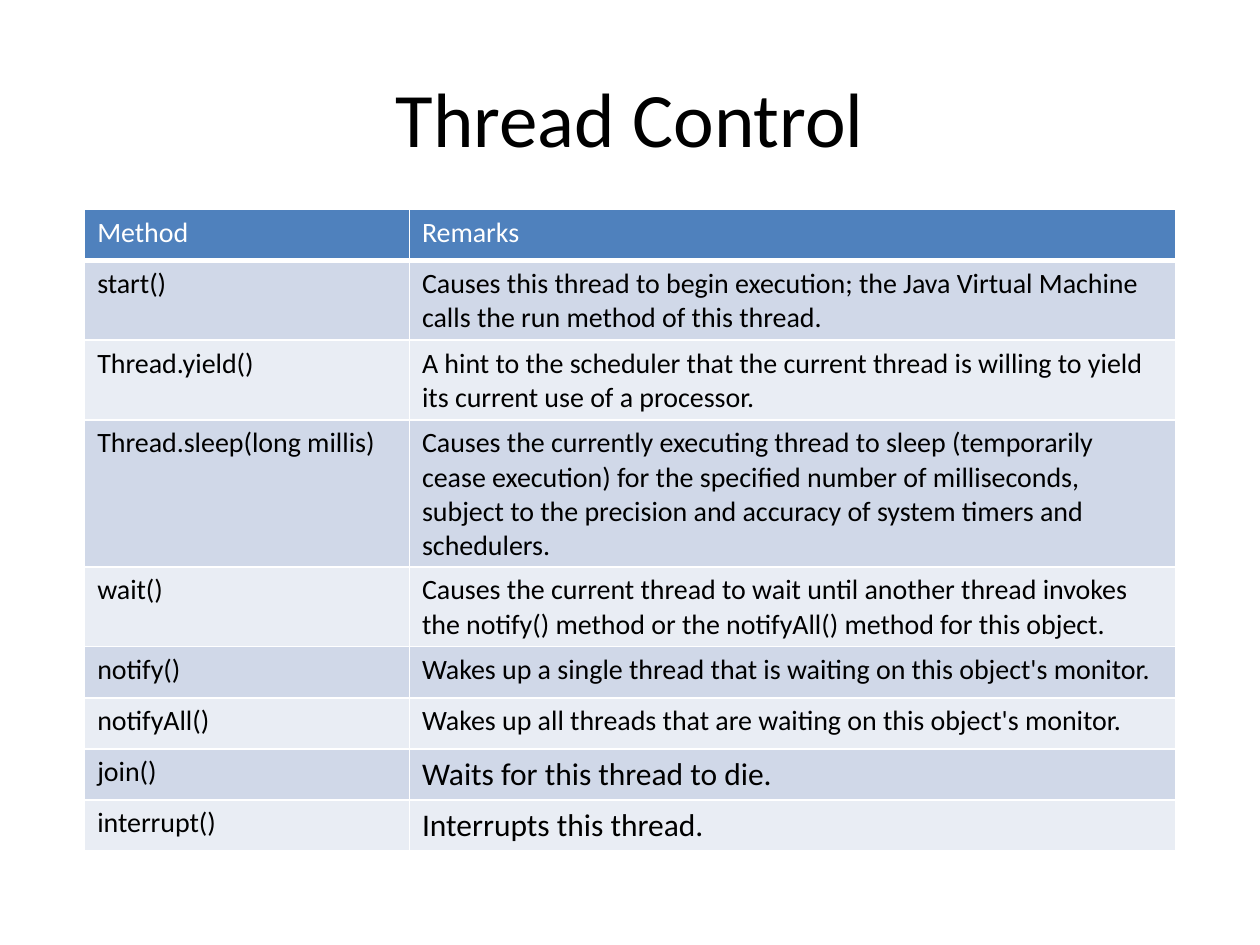
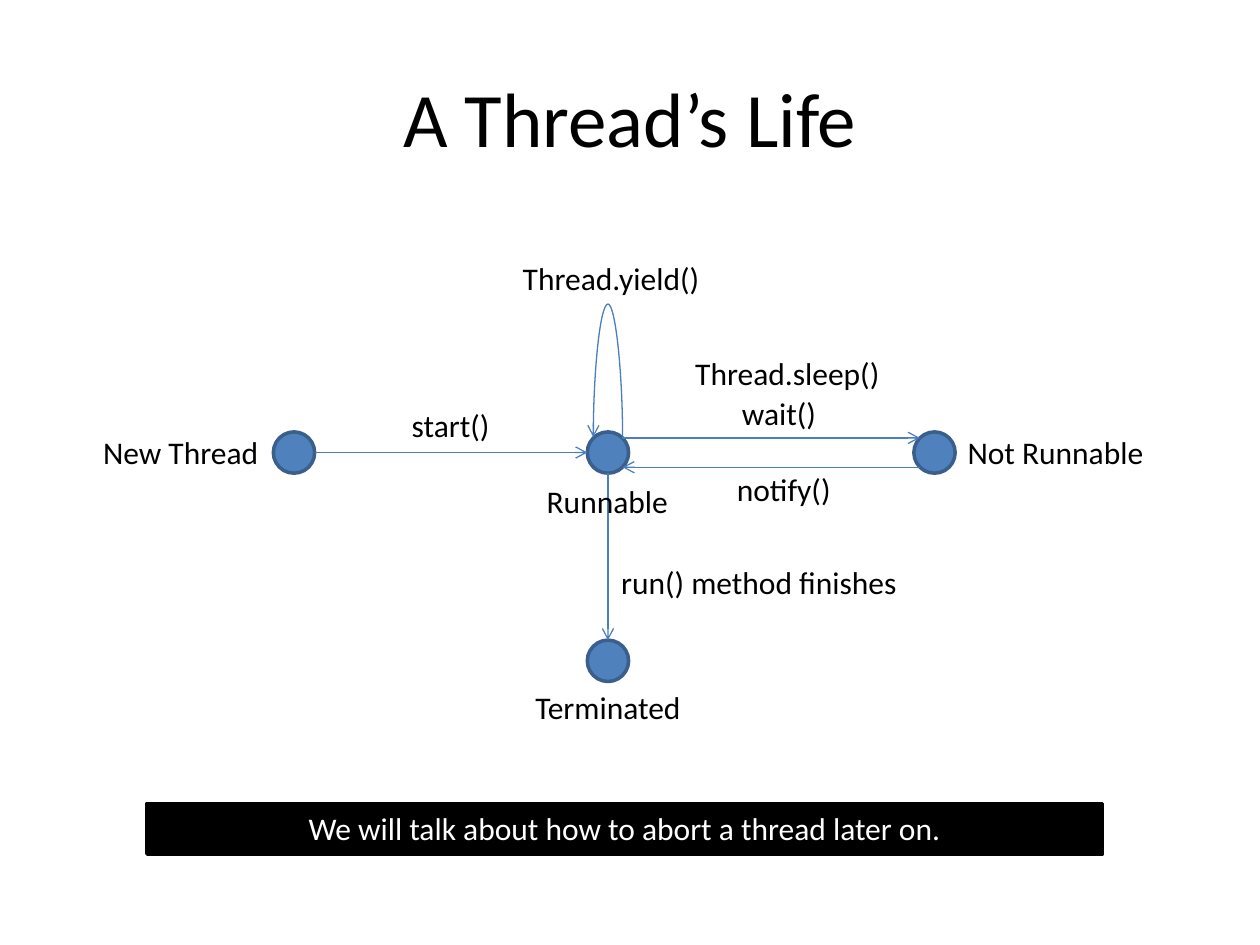
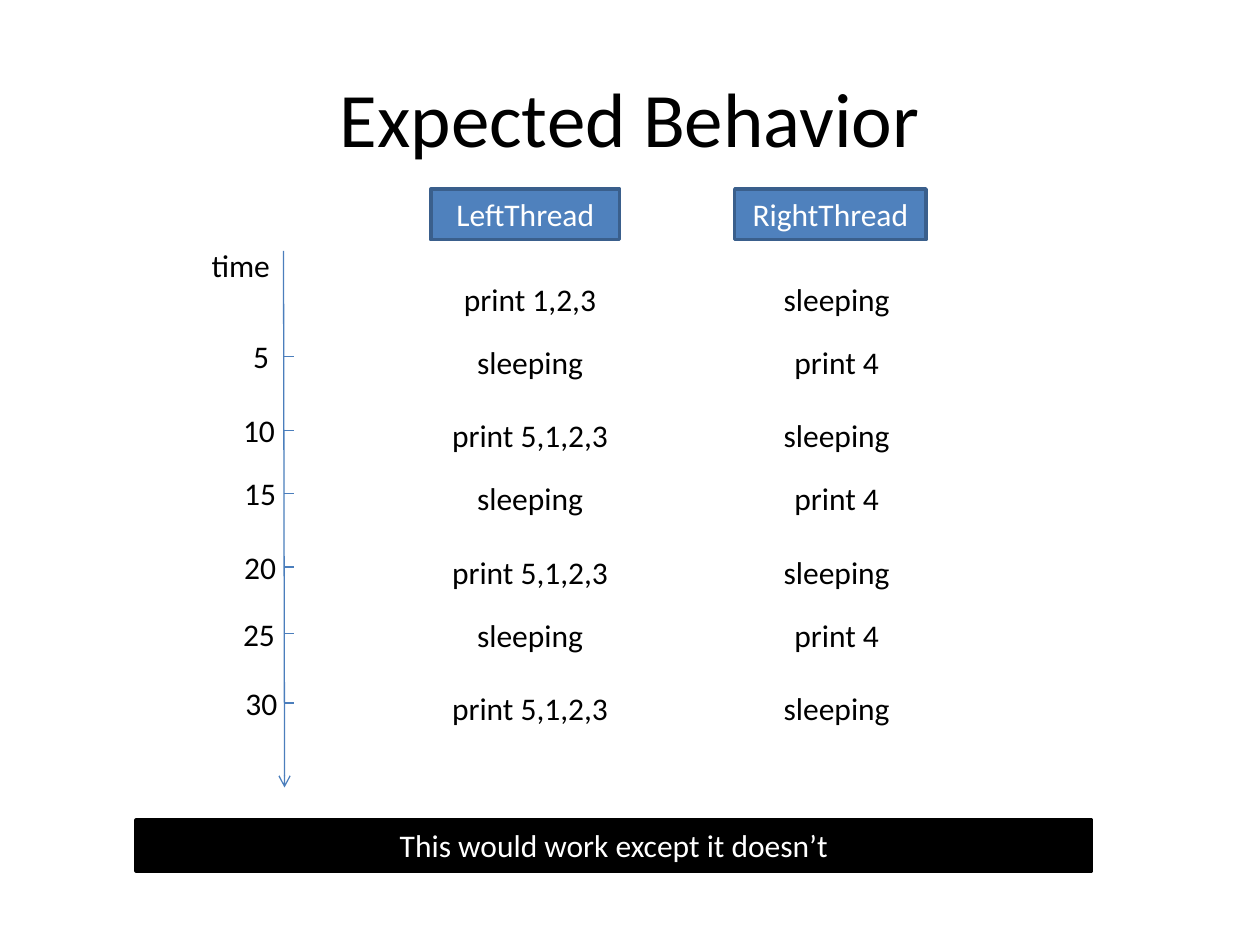
from lxml import etree
from pptx import Presentation
from pptx.dml.color import RGBColor
from pptx.enum import shapes, text
from pptx.oxml.ns import qn
from pptx.util import Pt

FONT = "Calibri"
BLACK, WHITE = "000000", "FFFFFF"
BLUE, OUTLINE, LINE = "4F81BD", "3A5F8C", "4B7EBC"
BANDS = ("D0D8E8", "E9EDF4")
LEFT, CENTER = text.PP_ALIGN.LEFT, text.PP_ALIGN.CENTER
TOP, MIDDLE = text.MSO_ANCHOR.TOP, text.MSO_ANCHOR.MIDDLE
ROW = 29
NODE = 23.6

METHODS = [
    ("Method", "Remarks", 16),
    ("start()", "Causes this thread to begin execution; the Java Virtual Machine calls the run method of this thread.", 16),
    ("Thread.yield()", "A hint to the scheduler that the current thread is willing to yield its current use of a processor.", 16),
    ("Thread.sleep(long millis)", "Causes the currently executing thread to sleep (temporarily cease execution) for the specified number of milliseconds, subject to the precision and accuracy of system timers and schedulers.", 16),
    ("wait()", "Causes the current thread to wait until another thread invokes the notify() method or the notifyAll() method for this object.", 16),
    ("notify()", "Wakes up a single thread that is waiting on this object's monitor.", 16),
    ("notifyAll()", "Wakes up all threads that are waiting on this object's monitor.", 16),
    ("join()", "Waits for this thread to die.", 18),
    ("interrupt()", "Interrupts this thread.", 18),
]

STATES = {"new": (168, 258.6), "runnable": (347.4, 258.6),
          "blocked": (534, 258.6), "terminated": (347.4, 377.6)}
LIFE_LABELS = [
    ("New Thread", 51.8, 244, 104.4), ("Runnable", 305.3, 272, 85),
    ("Not Runnable", 545.8, 244, 116), ("Terminated", 298.8, 389.5, 98.6),
    ("run() method finishes", 347.8, 318.3, 174.2), ("start()", 228.2, 228.2, 59.8),
    ("Thread.yield()", 291.6, 144.7, 116.6), ("Thread.sleep()", 390.2, 198.7, 121),
    ("wait()", 416.9, 221.8, 57.6), ("notify()", 414, 265, 69.1),
]

COLUMNS = [("LeftThread", 246.2, 108, 302.9, ["print 1,2,3"] + ["sleeping", "print 5,1,2,3"] * 3),
           ("RightThread", 419.8, 109.4, 478.1, ["sleeping"] + ["print 4", "sleeping"] * 3)]
WIDTHS = {"sleeping": 75.6, "print 4": 63.4, "print 1,2,3": 90.7, "print 5,1,2,3": 104.4}
STEP_TOPS = [156.2] + [top + 78 * cycle for cycle in range(3) for top in (192.2, 234.2)]
TICKS = [("5", 137.5, 24, 203.8), ("10", 131.8, 33, 246.2), ("15", 132.5, 33, 282.2),
         ("20", 132.5, 33, 324), ("25", 131.8, 33, 362.2), ("30", 133.2, 33, 401.8)]


def color(value):
    return RGBColor.from_string(value)


def write(frame, words, size=18, ink=BLACK, align=LEFT, anchor=TOP):
    frame.vertical_anchor = anchor
    para = frame.paragraphs[0]
    para.alignment = align
    span = para.add_run()
    span.text = words
    span.font.name = FONT
    span.font.size = Pt(size)
    span.font.color.rgb = color(ink)


def add_label(slide, words, left, top, width, align=LEFT):
    box = slide.shapes.add_textbox(Pt(left), Pt(top), Pt(width), Pt(ROW))
    box.text_frame.word_wrap = False
    box.text_frame.auto_size = text.MSO_AUTO_SIZE.SHAPE_TO_FIT_TEXT
    write(box.text_frame, words, align=align)


def add_figure(slide, preset, left, top, width, height, fill=BLUE, outline=OUTLINE):
    figure = slide.shapes.add_shape(preset, Pt(left), Pt(top), Pt(width), Pt(height))
    figure.shadow.inherit = False
    figure.fill.solid()
    figure.fill.fore_color.rgb = color(fill)
    figure.line.color.rgb = color(outline)
    figure.line.width = Pt(2)
    return figure


def add_bar(slide, words, left, top, width, fill=BLUE, outline=OUTLINE):
    bar = add_figure(slide, shapes.MSO_SHAPE.RECTANGLE, left, top, width, ROW, fill, outline)
    bar.text_frame.word_wrap = True
    bar.text_frame.auto_size = text.MSO_AUTO_SIZE.SHAPE_TO_FIT_TEXT
    write(bar.text_frame, words, ink=WHITE, align=CENTER)


def add_banner(slide, words, left, top):
    add_bar(slide, words, left, top, 546, BLACK, BLACK)


def add_line(slide, x1, y1, x2, y2, arrow=True, kind=shapes.MSO_CONNECTOR.STRAIGHT):
    line = slide.shapes.add_connector(kind, Pt(x1), Pt(y1), Pt(x2), Pt(y2))
    line.line.color.rgb = color(LINE)
    line.line.width = Pt(0.75)
    if arrow:
        etree.SubElement(line.line._get_or_add_ln(), qn("a:tailEnd"), type="arrow")
    etree.SubElement(line._element.spPr, qn("a:effectLst"))
    return line


def add_loop(slide, center_x, center_y, span, reach):
    loop = add_line(slide, center_x - 0.5, center_y + span / 2, center_x + 0.5,
                    center_y - span / 2, kind=shapes.MSO_CONNECTOR.CURVE)
    properties = loop._element.spPr
    properties.find(qn("a:xfrm")).set("rot", str(270 * 60000))
    geometry = properties.find(qn("a:prstGeom"))
    guides = geometry.find(qn("a:avLst"))
    if guides is None:
        guides = etree.SubElement(geometry, qn("a:avLst"))
    etree.SubElement(guides, qn("a:gd"), name="adj1", fmla=f"val {int(reach * 100000)}")


def add_slide(deck, title):
    slide = deck.slides.add_slide(deck.slide_layouts[6])
    box = slide.shapes.add_textbox(Pt(36), Pt(21.6), Pt(648), Pt(90))
    box.text_frame.word_wrap = True
    write(box.text_frame, title, 44, align=CENTER, anchor=MIDDLE)
    return slide


def style_cell(cell, fill, bottom):
    properties = cell._tc.get_or_add_tcPr()
    for side, width in (("L", 1), ("R", 1), ("T", 1), ("B", bottom)):
        border = etree.SubElement(properties, qn(f"a:ln{side}"), w=str(Pt(width)))
        paint = etree.SubElement(border, qn("a:solidFill"))
        etree.SubElement(paint, qn("a:srgbClr"), val=WHITE)
    cell.fill.solid()
    cell.fill.fore_color.rgb = color(fill)


def build_control(deck):
    slide = add_slide(deck, "Thread Control")
    frame = slide.shapes.add_table(len(METHODS), 2, Pt(48.4), Pt(119.5), Pt(623.6), Pt(29.2 * len(METHODS)))
    table = frame.table
    table.first_row = table.horz_banding = False
    for column, width in zip(table.columns, (185.6, 438)):
        column.width = Pt(width)
    for index, (method, remark, size) in enumerate(METHODS):
        table.rows[index].height = Pt(29.2)
        header = index == 0
        fill = BLUE if header else BANDS[(index - 1) % 2]
        for cell, words, points in zip(table.rows[index].cells, (method, remark), (16, size)):
            style_cell(cell, fill, 3 if header else 1)
            write(cell.text_frame, words, points, WHITE if header else BLACK)


def build_life(deck):
    slide = add_slide(deck, "A Thread’s Life")
    radius, diagonal = NODE / 2, NODE / 2 * 0.71
    for x, y in STATES.values():
        add_figure(slide, shapes.MSO_SHAPE.OVAL, x - radius, y - radius, NODE, NODE)
    new_x, mid_y = STATES["new"]
    run_x = STATES["runnable"][0]
    blocked_x = STATES["blocked"][0]
    end_y = STATES["terminated"][1]
    add_line(slide, new_x + radius, mid_y, run_x - radius, mid_y)
    add_line(slide, run_x + diagonal, mid_y - diagonal, blocked_x - diagonal, mid_y - diagonal)
    add_line(slide, blocked_x - diagonal, mid_y + diagonal, run_x + diagonal, mid_y + diagonal)
    add_line(slide, run_x, mid_y + radius, run_x, end_y - radius)
    add_loop(slide, run_x, mid_y - diagonal, 2 * diagonal, 77.625)
    for label in LIFE_LABELS:
        add_label(slide, *label)
    add_banner(slide, "We will talk about how to abort a thread later on.", 84, 459)


def build_behavior(deck):
    slide = add_slide(deck, "Expected Behavior")
    add_line(slide, 162, 143.3, 162.6, 450)
    add_label(slide, "time", 113.8, 136.8, 48.2)
    for words, left, width, y in TICKS:
        add_line(slide, 162.2, y, 168, y, arrow=False)
        add_label(slide, words, left, y - 14.6, width)
    for name, left, width, center, steps in COLUMNS:
        add_bar(slide, name, left, 108, width)
        for words, top in zip(steps, STEP_TOPS):
            add_label(slide, words, center - WIDTHS[words] / 2, top, WIDTHS[words], CENTER)
    add_banner(slide, "This would work except it doesn’t", 77.8, 468.7)


def main():
    deck = Presentation()
    deck.slide_width, deck.slide_height = Pt(720), Pt(540)
    build_control(deck)
    build_life(deck)
    build_behavior(deck)
    deck.save("out.pptx")


if __name__ == "__main__":
    main()
